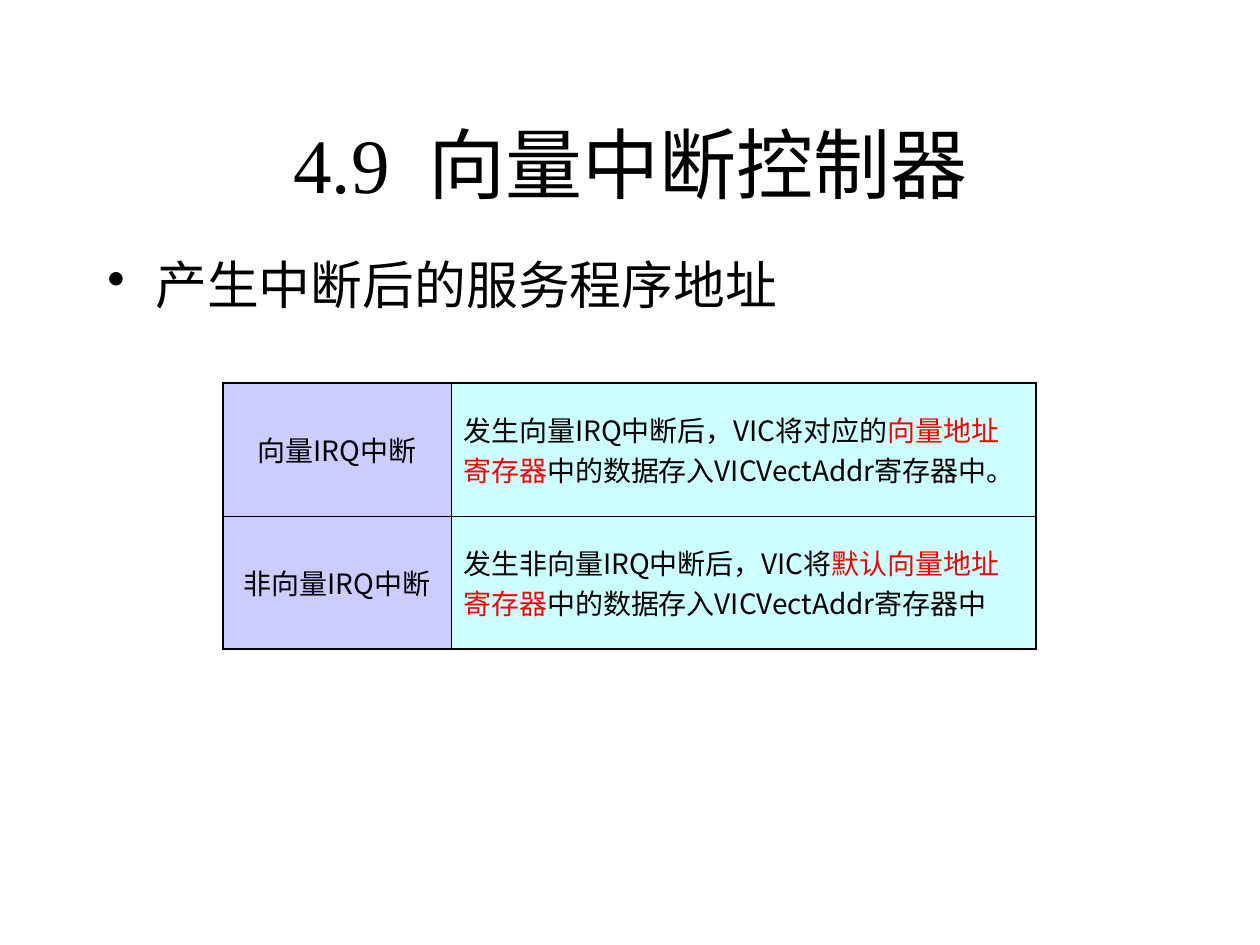
from lxml.etree import SubElement
from pptx import Presentation
from pptx.dml.color import RGBColor
from pptx.enum.text import MSO_ANCHOR as Anchor, PP_ALIGN as Align
from pptx.oxml.ns import qn
from pptx.util import Emu, Pt

TITLE = "4.9  向量中断控制器"
TOPIC = "产生中断后的服务程序地址"
BLACK, RED = "000000", "FF0000"
INTERRUPTS = [
    ("向量IRQ中断", [
        ("发生向量IRQ中断后，VIC将对应的", BLACK),
        ("向量地址寄存器", RED),
        ("中的数据存入VICVectAddr寄存器中。", BLACK),
    ]),
    ("非向量IRQ中断", [
        ("发生非向量IRQ中断后，VIC将", BLACK),
        ("默认向量地址寄存器", RED),
        ("中的数据存入VICVectAddr寄存器中", BLACK),
    ]),
]
COLUMN_WIDTHS = [228, 585]
COLUMN_FILLS = ["CCCCFF", "CCFFFF"]
ROW_HEIGHT = 133
OUTER, INNER = 1.08, 0.45
SERIF, SANS = "Times New Roman", "Noto Sans CJK SC"


def px(n):
    return Emu(n * 914400 // 126)


def rgb(color):
    return RGBColor.from_string(color)


def style(paragraph, font, size):
    paragraph.font.name = font
    paragraph.font.size = Pt(size)


def write(paragraph, runs):
    for text, color in runs:
        run = paragraph.add_run()
        run.text = text
        run.font.color.rgb = rgb(color)


def add_text(slide, box, text, size, anchor):
    frame = slide.shapes.add_textbox(*map(px, box)).text_frame
    frame.word_wrap = True
    frame.vertical_anchor = anchor
    paragraph = frame.paragraphs[0]
    write(paragraph, [(text, BLACK)])
    return paragraph


def add_bullet(paragraph, indent):
    props = paragraph._p.get_or_add_pPr()
    props.set("marL", str(px(indent)))
    props.set("indent", str(-px(indent)))
    SubElement(props, qn("a:buChar"), char="•")


def add_borders(cell, widths):
    props = cell._tc.get_or_add_tcPr()
    for side, width in widths.items():
        line = SubElement(props, qn(f"a:ln{side}"), w=str(Pt(width)))
        SubElement(SubElement(line, qn("a:solidFill")), qn("a:srgbClr"), val=BLACK)


def add_interrupt_table(slide, left, top):
    rows, columns = len(INTERRUPTS), len(COLUMN_WIDTHS)
    table = slide.shapes.add_table(
        rows, columns, px(left), px(top),
        px(sum(COLUMN_WIDTHS)), px(ROW_HEIGHT * rows)).table
    for column, width in zip(table.columns, COLUMN_WIDTHS):
        column.width = px(width)
    for r, (kind, action) in enumerate(INTERRUPTS):
        table.rows[r].height = px(ROW_HEIGHT)
        for c, runs in enumerate([[(kind, BLACK)], action]):
            cell = table.cell(r, c)
            add_borders(cell, {
                "L": OUTER if c == 0 else INNER,
                "R": OUTER if c == columns - 1 else INNER,
                "T": OUTER if r == 0 else INNER,
                "B": OUTER if r == rows - 1 else INNER,
            })
            cell.fill.solid()
            cell.fill.fore_color.rgb = rgb(COLUMN_FILLS[c])
            cell.vertical_anchor = Anchor.MIDDLE
            paragraph = cell.text_frame.paragraphs[0]
            paragraph.alignment = Align.CENTER if c == 0 else Align.LEFT
            write(paragraph, runs)
            style(paragraph, SANS, 16)


def main():
    prs = Presentation()
    prs.slide_width, prs.slide_height = px(1260), px(945)
    slide = prs.slides.add_slide(prs.slide_layouts[6])

    topic = add_text(slide, (95, 254, 1061, 79), TOPIC, 29.6, Anchor.TOP)
    topic.line_spacing = 0.9
    add_bullet(topic, 48)
    style(topic, SERIF, 29.6)

    title = add_text(slide, (95, 84, 1071, 158), TITLE, 44, Anchor.MIDDLE)
    title.alignment = Align.CENTER
    style(title, SERIF, 44)

    add_interrupt_table(slide, 223, 383)
    prs.save("out.pptx")


if __name__ == "__main__":
    main()
